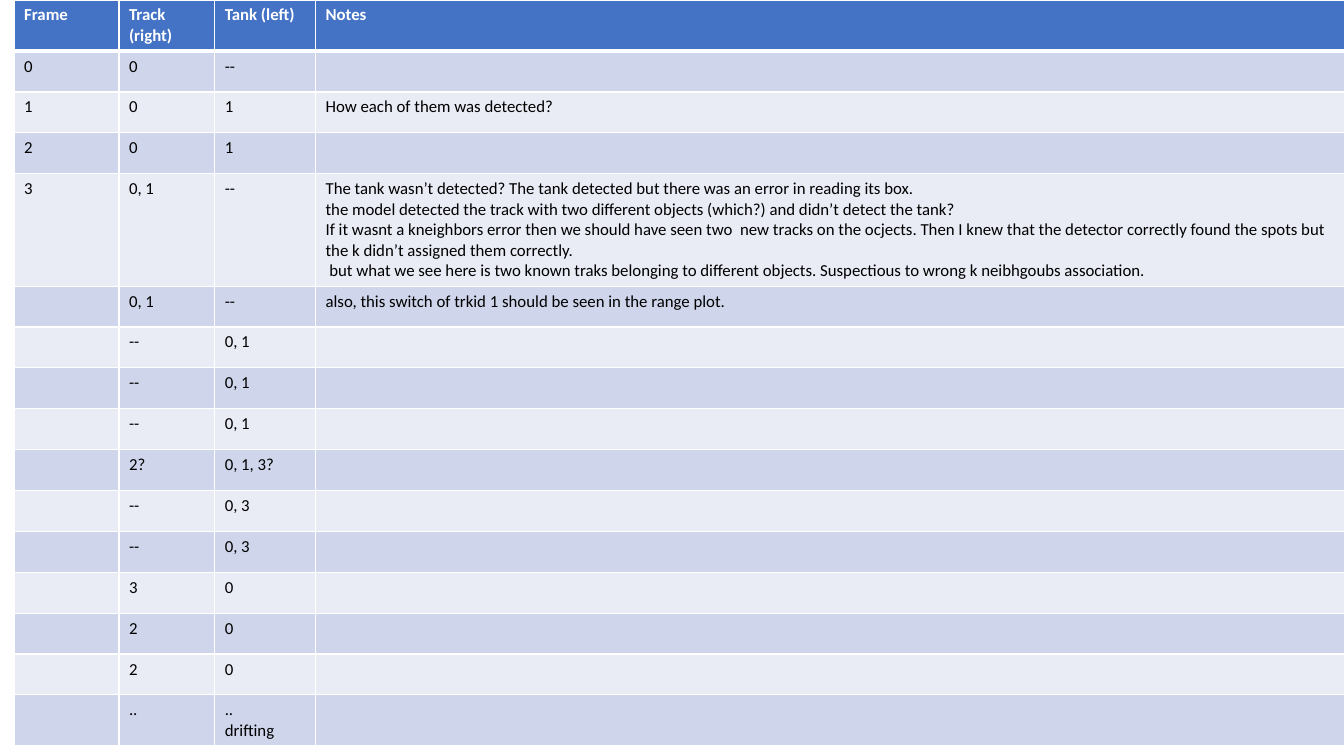
from pptx import Presentation
from pptx.dml.color import RGBColor as Rgb
from pptx.oxml import parse_xml
from pptx.oxml.ns import nsdecls
from pptx.util import Inches, Pt

INK = {"head": "4472C4", "odd": "CFD5EA", "even": "E9EBF5",
       "white": "FFFFFF", "black": "000000"}
COLS = [1.04, 0.95, 1, 10.21]
ERROR = """The tank wasn’t detected? The tank detected but there was an error in reading its box.
the model detected the track with two different objects (which?) and didn’t detect the tank?
If it wasnt a kneighbors error then we should have seen two  new tracks on the ocjects. Then I knew that the detector correctly found the spots but the k didn’t assigned them correctly.
 but what we see here is two known traks belonging to different objects. Suspectious to wrong k neibhgoubs association."""
ROWS = [
    ("Frame", "Track (right)", "Tank (left)", "Notes"),
    ("0", "0", "--", ""),
    ("1", "0", "1", "How each of them was detected?"),
    ("2", "0", "1", ""),
    ("3", "0, 1", "--", ERROR),
    ("", "0, 1", "--",
     "also, this switch of trkid 1 should be seen in the range plot."),
    ("", "--", "0, 1", ""),
    ("", "--", "0, 1", ""),
    ("", "--", "0, 1", ""),
    ("", "2?", "0, 1, 3?", ""),
    ("", "--", "0, 3", ""),
    ("", "--", "0, 3", ""),
    ("", "3", "0", ""),
    ("", "2", "0", ""),
    ("", "2", "0", ""),
    ("", "..", "..\ndrifting", ""),
]


def set_edges(cell, top, base):
    """Draw white cell borders, with the given top and bottom widths."""
    props = cell._tc.get_or_add_tcPr()
    for spot, (side, width) in enumerate(
            {"L": 1, "R": 1, "T": top, "B": base}.items()):
        props.insert(spot, parse_xml(
            f'<a:ln{side} {nsdecls("a")} w="{Pt(width)}"><a:solidFill>'
            f'<a:srgbClr val="{INK["white"]}"/></a:solidFill></a:ln{side}>'))


def fill_cell(cell, text, row):
    # Header row first, then alternating bands
    tone = "head" if row == 0 else "odd" if row % 2 else "even"
    cell.fill.solid()
    cell.fill.fore_color.rgb = Rgb.from_string(INK[tone])
    set_edges(cell, 3 if row == 1 else 1, 3 if row == 0 else 1)
    if not text:
        return
    cell.text = text
    form = {"name": "Calibri", "size": Pt(12), "bold": row == 0}
    ink = INK["white" if row == 0 else "black"]
    for para in cell.text_frame.paragraphs:
        for run in para.runs:
            for key, value in form.items():
                setattr(run.font, key, value)
            run.font.color.rgb = Rgb.from_string(ink)


def add_log(slide, left, top, width, height):
    """Place the tracking log in the given box."""
    table = slide.shapes.add_table(
        len(ROWS), len(COLS), Inches(left), Inches(top),
        Inches(width), Inches(height)).table
    for col, size in zip(table.columns, COLS):
        col.width = Inches(size * width / sum(COLS))
    for row, texts in enumerate(ROWS):
        for col, text in enumerate(texts):
            fill_cell(table.cell(row, col), text, row)


def main():
    deck = Presentation()
    deck.slide_width, deck.slide_height = Inches(13.33), Inches(7.5)
    slide = deck.slides.add_slide(deck.slide_layouts[6])
    add_log(slide, 0.14, 0, 13.2, 6.48)
    deck.save("out.pptx")


if __name__ == "__main__":
    main()
